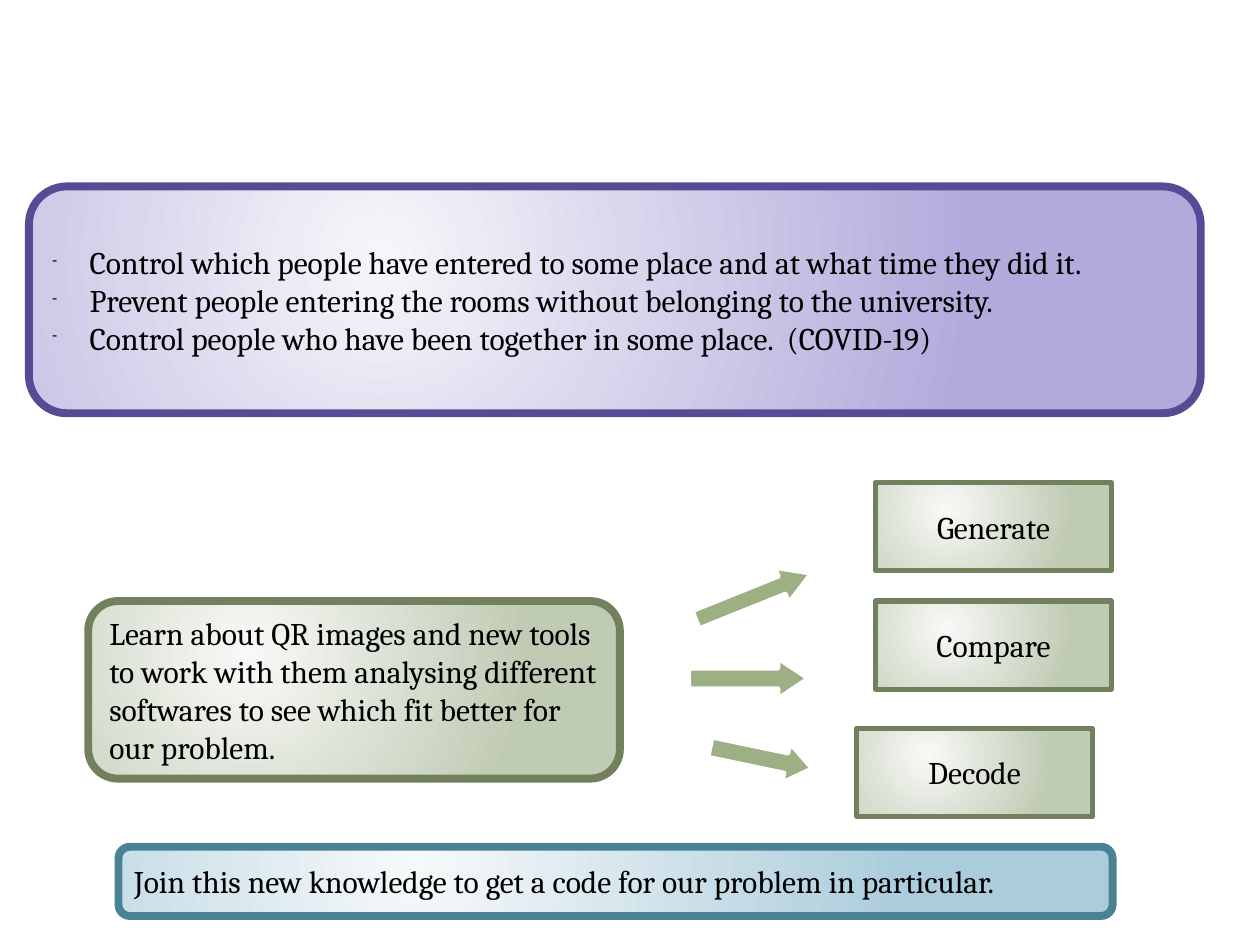
from dataclasses import dataclass

from lxml.etree import SubElement
from pptx import Presentation
from pptx.dml.color import RGBColor
from pptx.enum.shapes import MSO_SHAPE as Shape
from pptx.enum.text import MSO_ANCHOR as Anchor, PP_ALIGN as Align
from pptx.oxml.ns import qn
from pptx.util import Inches, Pt


@dataclass(frozen=True)
class Theme:
    font: str = "Cambria"
    text: str = "000000"
    body_size: int = 18
    purple: tuple = ("F6F6FA", "B2AADB", "594A95")
    green: tuple = ("F8F9F7", "C0CBB4", "71815D")
    blue: tuple = ("F6F9FA", "AACCDB", "4A8295")
    arrow: str = "9CB084"
    arrow_edge: str = "FFFFFF"
    panel_line: float = 4.5
    step_line: float = 3
    arrow_line: float = 2.25


class SlideBuilder:
    COLUMNS, ROWS = 100, 75

    def __init__(self, presentation, theme):
        self.theme = theme
        self.column = presentation.slide_width / self.COLUMNS
        self.row = presentation.slide_height / self.ROWS
        self.slide = presentation.slides.add_slide(presentation.slide_layouts[6])

    def add_shape(self, kind, box, edge, line_width, adjustments=()):
        left, top, width, height = box
        shape = self.slide.shapes.add_shape(
            kind,
            round(left * self.column),
            round(top * self.row),
            round(width * self.column),
            round(height * self.row),
        )
        shape.shadow.inherit = False
        shape.line.color.rgb = RGBColor.from_string(edge)
        shape.line.width = Pt(line_width)
        for index, value in enumerate(adjustments):
            shape.adjustments[index] = value
        return shape

    def fill_radial(self, shape, colors):
        shape.fill.gradient()
        for stop, color in zip(shape.fill.gradient_stops, colors):
            stop.color.rgb = RGBColor.from_string(color)
        gradient = shape.element.spPr.find(qn("a:gradFill"))
        gradient.remove(gradient.find(qn("a:lin")))
        circle = SubElement(gradient, qn("a:path"), {"path": "circle"})
        edges = {"l": "30000", "t": "30000", "r": "70000", "b": "70000"}
        SubElement(circle, qn("a:fillToRect"), edges)

    def add_bullet(self, paragraph):
        properties = paragraph._p.get_or_add_pPr()
        indent = Inches(0.24)
        for name, value in {"marL": indent, "indent": -indent}.items():
            properties.set(name, str(value))
        color = SubElement(properties, qn("a:buClr"))
        SubElement(color, qn("a:srgbClr"), val=self.theme.text)
        SubElement(properties, qn("a:buSzPct"), val="45000")
        SubElement(properties, qn("a:buChar"), char="-")

    def add_text(self, shape, lines, alignment, bulleted=False):
        frame = shape.text_frame
        for name, value in {"word_wrap": True, "vertical_anchor": Anchor.MIDDLE}.items():
            setattr(frame, name, value)
        frame.text = "\n".join(lines)
        font_format = {"name": self.theme.font, "size": Pt(self.theme.body_size)}
        for paragraph in frame.paragraphs:
            paragraph.alignment = alignment
            if bulleted:
                self.add_bullet(paragraph)
            for run in paragraph.runs:
                for name, value in font_format.items():
                    setattr(run.font, name, value)
                run.font.color.rgb = RGBColor.from_string(self.theme.text)

    def add_panel(self, box, palette, lines, bulleted=False):
        *colors, edge = palette
        shape = self.add_shape(
            Shape.ROUNDED_RECTANGLE, box, edge, self.theme.panel_line, [0.167]
        )
        self.fill_radial(shape, colors)
        self.add_text(shape, lines, Align.LEFT, bulleted)

    def add_step(self, left, top, label):
        *colors, edge = self.theme.green
        shape = self.add_shape(
            Shape.RECTANGLE, (left, top, 18.7, 7), edge, self.theme.step_line
        )
        self.fill_radial(shape, colors)
        self.add_text(shape, [label], Align.CENTER)

    def add_arrow(self, box, head, rotation):
        shape = self.add_shape(
            Shape.RIGHT_ARROW,
            box,
            self.theme.arrow_edge,
            self.theme.arrow_line,
            [0.5, head],
        )
        shape.fill.solid()
        shape.fill.fore_color.rgb = RGBColor.from_string(self.theme.arrow)
        shape.rotation = rotation


GOALS = [
    " Control which people have entered to some place and at what time they did it.",
    " Prevent people entering the rooms without belonging to the university.",
    " Control people who have been together in some place.  (COVID-19)",
]
LEARNING = (
    "Learn about QR images and new tools to work with them analysing different "
    "softwares to see which fit better for our problem."
)
OUTCOME = "Join this new knowledge to get a code for our problem in particular."
STEPS = [(69.5, 38.3, "Generate"), (69.5, 47.7, "Compare"), (68, 57.8, "Decode")]
ARROWS = [
    ((54.9, 45.9, 9.8, 2.9), 0.84, 338.1),
    ((54.7, 52.3, 9.4, 3.1), 0.75, 0),
    ((56.3, 58.6, 8.2, 3.1), 0.66, 11.8),
]


def main():
    presentation = Presentation()
    presentation.slide_width = Inches(10)
    presentation.slide_height = Inches(7.5)
    theme = Theme()
    builder = SlideBuilder(presentation, theme)
    builder.add_panel((2.3, 14.8, 93, 18), theme.purple, GOALS, bulleted=True)
    builder.add_panel((7, 47.7, 42.2, 14.1), theme.green, [LEARNING])
    builder.add_panel((9.4, 67.2, 78.9, 5.5), theme.blue, [OUTCOME])
    for step in STEPS:
        builder.add_step(*step)
    for arrow in ARROWS:
        builder.add_arrow(*arrow)
    presentation.save("out.pptx")


if __name__ == "__main__":
    main()
